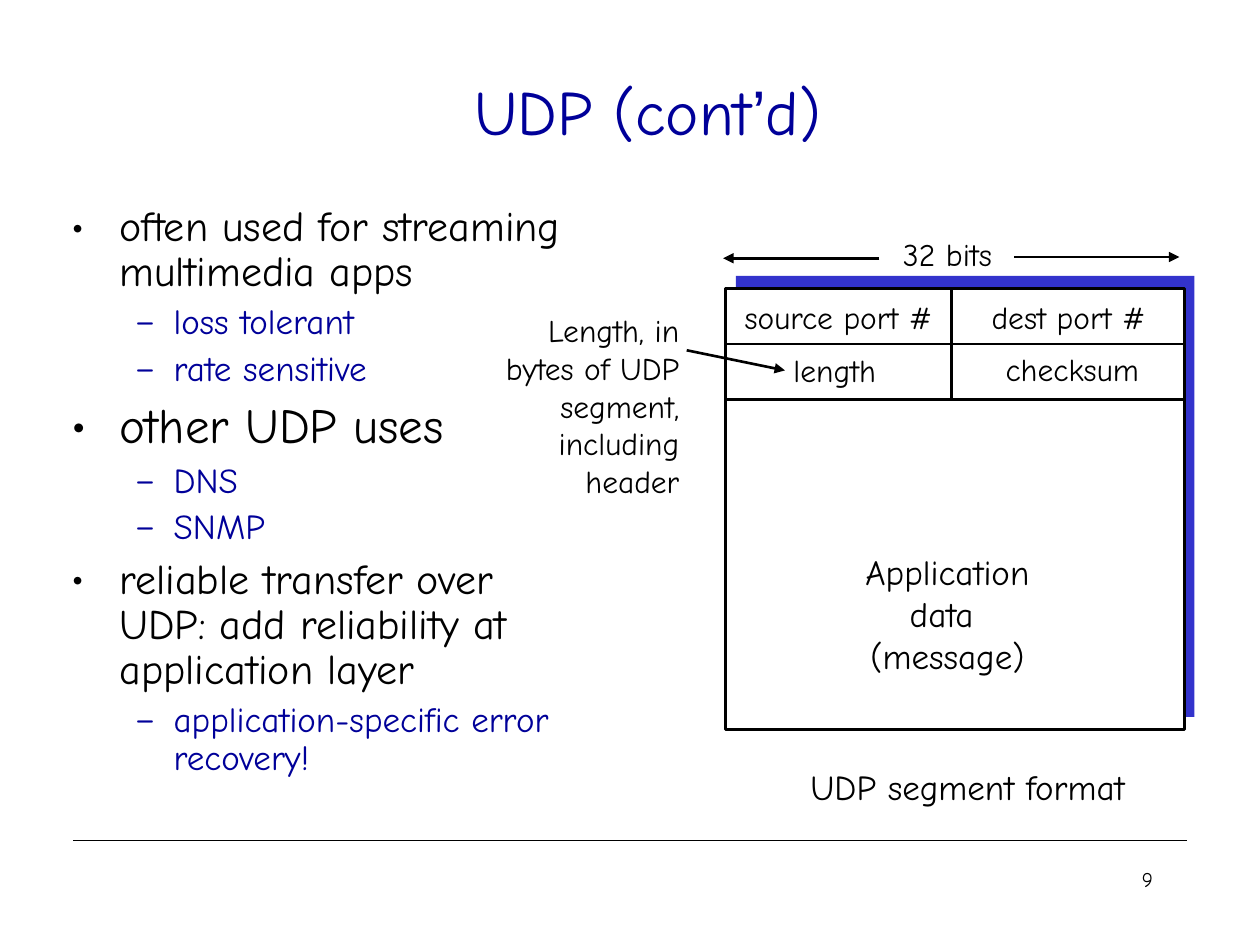
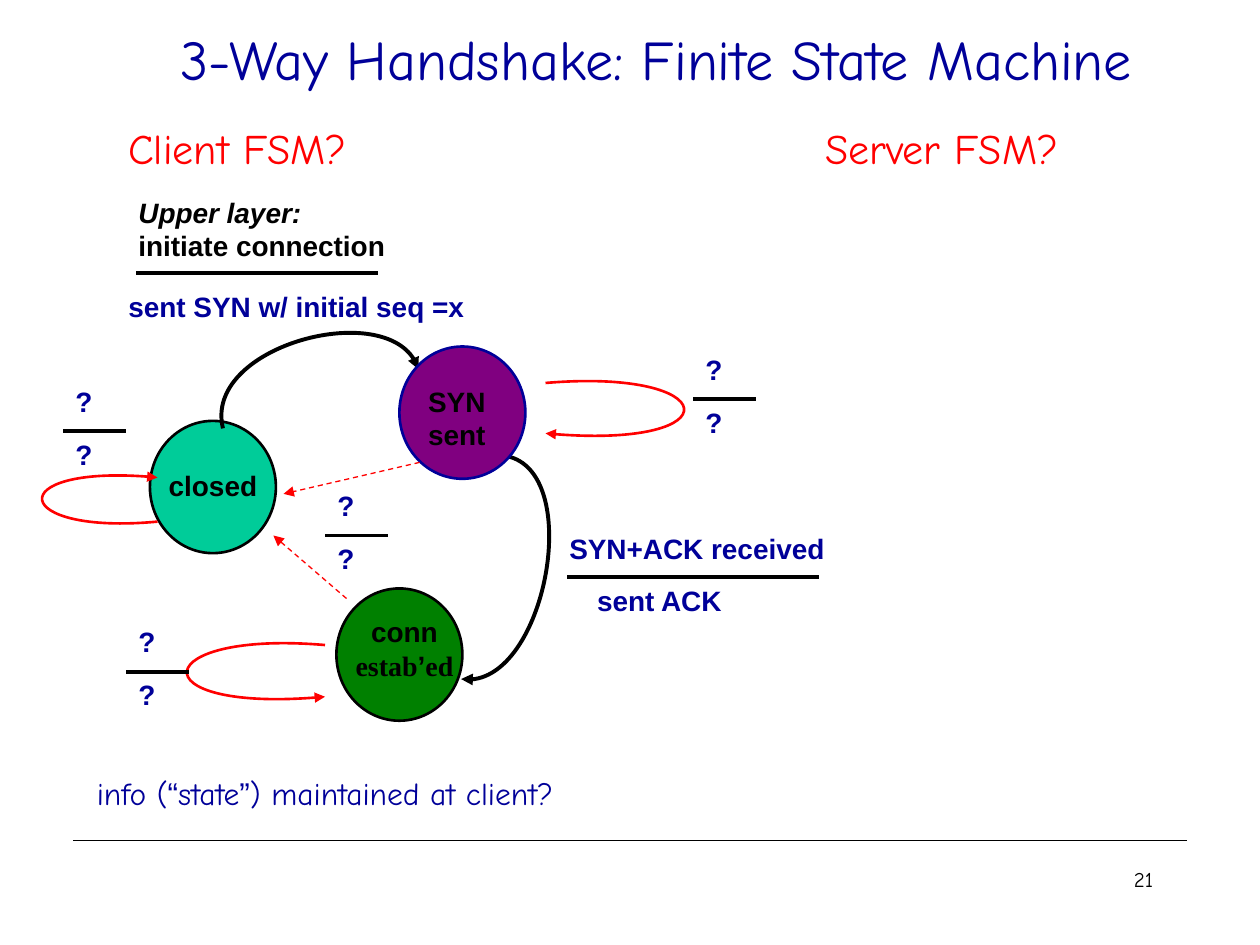
"""Build two transport-layer slides: UDP segment format and the TCP handshake FSM."""
from itertools import groupby

from lxml.etree import SubElement
from pptx import Presentation
from pptx.dml.color import RGBColor
from pptx.enum.dml import MSO_LINE
from pptx.enum.shapes import MSO_CONNECTOR, MSO_SHAPE
from pptx.enum.text import MSO_ANCHOR as Anchor, MSO_AUTO_SIZE as AutoSize, PP_ALIGN as Align
from pptx.oxml.ns import qn
from pptx.util import Inches, Pt

BLACK = RGBColor(0x00, 0x00, 0x00)
WHITE = RGBColor(0xFF, 0xFF, 0xFF)
NAVY = RGBColor(0x00, 0x00, 0x99)
BLUE = RGBColor(0x33, 0x33, 0xCC)
RED = RGBColor(0xFF, 0x00, 0x00)
TEAL = RGBColor(0x00, 0xCC, 0x99)
PURPLE = RGBColor(0x80, 0x00, 0x80)
GREEN = RGBColor(0x00, 0x80, 0x00)

HAND_FONT = "Comic Neue"
PLAIN_FONT = "Arial"
CURLY_QUOTES = "“”’"

LABEL = dict(font=PLAIN_FONT, size=16, bold=True)
ACTION = dict(LABEL, color=NAVY)
CENTRED = dict(align=Align.CENTER, wrap=False)


def add_runs(paragraph, content, font=HAND_FONT, size=18, color=BLACK, bold=False, italic=False):
    """Fill a paragraph, setting curly quotes in the plain font."""
    for is_quote, letters in groupby(content, key=lambda letter: letter in CURLY_QUOTES):
        run = paragraph.add_run()
        run.text = "".join(letters)
        run.font.name = PLAIN_FONT if is_quote else font
        run.font.size = Pt(size)
        run.font.color.rgb = color
        run.font.bold = bold
        run.font.italic = italic


def add_text(shapes, box, *lines, align=Align.LEFT, anchor=Anchor.TOP, wrap=True, **style):
    """Add a text box; a line is a string or a (string, style changes) pair."""
    frame = shapes.add_textbox(*map(Inches, box)).text_frame
    frame.word_wrap = wrap
    frame.auto_size = AutoSize.NONE if wrap else AutoSize.SHAPE_TO_FIT_TEXT
    frame.vertical_anchor = anchor
    for index, line in enumerate(lines):
        content, changes = (line, {}) if isinstance(line, str) else line
        paragraph = frame.add_paragraph() if index else frame.paragraphs[0]
        paragraph.alignment = align
        add_runs(paragraph, content, **{**style, **changes})
    return frame


def set_bullet(paragraph, level, size):
    """Give an outline paragraph its indent, spacing and bullet."""
    margin, hanging, mark, color = ((0.38, 0.38, "•", BLACK), (0.81, 0.31, "–", NAVY))[level]
    paragraph.level = level
    paragraph.line_spacing = 0.9
    paragraph.space_before = Pt(size // 4)
    properties = paragraph._p.get_or_add_pPr()
    properties.set("marL", str(Inches(margin)))
    properties.set("indent", str(-Inches(hanging)))
    bullet_color = SubElement(properties, qn("a:buClr"))
    SubElement(bullet_color, qn("a:srgbClr"), val=str(color))
    SubElement(properties, qn("a:buFont"), typeface=HAND_FONT)
    SubElement(properties, qn("a:buChar"), char=mark)


def add_outline(shapes, box, items):
    """Add a two-level bulleted list from (level, size, text) items."""
    lines = [(content, dict(size=size, color=NAVY if level else BLACK))
             for level, size, content in items]
    frame = add_text(shapes, box, *lines)
    for paragraph, (level, size, _) in zip(frame.paragraphs, items):
        set_bullet(paragraph, level, size)


def add_arrowhead(shape):
    """Put a triangle at the end of an outlined shape."""
    outline = shape.element.spPr.find(qn("a:ln"))
    SubElement(outline, qn("a:tailEnd"), type="triangle", w="med", len="med")


def add_line(shapes, start, end, width=1.5, color=BLACK, arrow=False, dash=None):
    """Add a straight line between two points."""
    line = shapes.add_connector(MSO_CONNECTOR.STRAIGHT, *map(Inches, (*start, *end)))
    line.line.color.rgb = color
    line.line.width = Pt(width)
    if dash:
        line.line.dash_style = dash
    if arrow:
        add_arrowhead(line)
    SubElement(line.element.spPr, qn("a:effectLst"))


def add_curve(shapes, *points, width=1.5, color=RED):
    """Add an arrow along one Bézier curve: start, two controls, end."""
    start, *others = [tuple(map(Inches, point)) for point in points]
    builder = shapes.build_freeform(*start)
    builder.add_line_segments(others, close=False)
    curve = builder.convert_to_shape()
    curve.shadow.inherit = False
    curve.fill.background()
    curve.line.color.rgb = color
    curve.line.width = Pt(width)
    add_arrowhead(curve)
    outline = curve.element.find(".//" + qn("a:path"))
    segments = outline.findall(qn("a:lnTo"))
    bezier = SubElement(outline, qn("a:cubicBezTo"))
    for segment in segments:
        bezier.append(segment[0])
        outline.remove(segment)


def add_block(shapes, kind, box, fill, outline=None):
    """Add a filled preset shape, outlined if a colour is given."""
    block = shapes.add_shape(kind, *map(Inches, box))
    block.shadow.inherit = False
    block.fill.solid()
    block.fill.fore_color.rgb = fill
    if outline is None:
        block.line.fill.background()
    else:
        block.line.color.rgb = outline
        block.line.width = Pt(1.5)


def add_state(shapes, corner, fill, label_box, *lines, outline=BLACK):
    """Add an FSM state circle with its label."""
    add_block(shapes, MSO_SHAPE.OVAL, (*corner, 1, 1.05), fill, outline)
    add_text(shapes, label_box, *lines, align=Align.CENTER, **LABEL)


def add_unknown(shapes, left, middle):
    """Add a question mark over a question mark, parted by a line."""
    group = shapes.add_group_shape().shapes
    for top in (middle - 0.42, middle):
        add_text(group, (left, top, 0.33, 0.44), "?", **ACTION)
    add_line(group, (left, middle), (left + 0.5, middle), width=2.25)


def start_slide(deck, title, title_box, title_size, number):
    """Add a slide with title, footer rule and page number; return its shapes."""
    shapes = deck.slides.add_slide(deck.slide_layouts[6]).shapes
    add_line(shapes, (0.58, 6.67), (9.42, 6.67), width=0.75)
    add_text(shapes, (7.17, 6.83, 2.08, 0.5), str(number), size=12, align=Align.RIGHT)
    add_text(shapes, title_box, title, size=title_size, color=NAVY,
             align=Align.CENTER, anchor=Anchor.MIDDLE)
    return shapes


def add_segment_diagram(shapes):
    """Draw the UDP segment with its fields and measures."""
    left, top, width, height, row = 5.76, 2.29, 3.64, 3.5, 0.44
    middle = 7.55
    add_block(shapes, MSO_SHAPE.RECTANGLE, (left + 0.08, top - 0.1, width, height), BLUE)
    add_block(shapes, MSO_SHAPE.RECTANGLE, (left, top, width, height), WHITE, BLACK)
    for row_top in (top, top + row):
        row_end = row_top + row
        add_line(shapes, (left - 0.01, row_end), (left + width - 0.01, row_end))
        add_line(shapes, (middle, row_end), (middle, row_top))
    fields = [
        ((5.78, 2.32, 1.75, 0.4), "source port #"),
        ((7.74, 2.32, 1.48, 0.4), "dest port #"),
        ((6.17, 2.74, 0.91, 0.4), "length"),
        ((7.85, 2.73, 1.32, 0.4), "checksum"),
        ((7.04, 1.82, 0.96, 0.4), "32 bits"),
    ]
    for box, field in fields:
        add_text(shapes, box, field, **CENTRED)
    add_text(shapes, (6.77, 4.32, 1.5, 1.1), "Application", "data ", "(message)",
             size=20, **CENTRED)
    add_text(shapes, (6.33, 6.03, 2.7, 0.44), "UDP segment format", size=20, **CENTRED)
    add_text(shapes, (3.91, 2.42, 1.58, 1.6), "Length, in", "bytes of UDP", "segment,",
             "including", "header", align=Align.RIGHT, wrap=False)
    add_line(shapes, (8.05, 2.04), (9.36, 2.04), arrow=True)
    add_line(shapes, (6.98, 2.05), (5.74, 2.05), arrow=True)
    add_line(shapes, (5.45, 2.78), (6.23, 2.94), arrow=True)


def build_udp_slide(deck):
    """Build the slide on UDP uses and segment format."""
    shapes = start_slide(deck, "UDP (cont’d)", (0.58, 0.25, 9.12, 1.25), 36, 9)
    add_outline(shapes, (0.47, 1.58, 4.17, 5.08), [
        (0, 24, "often used for streaming multimedia apps"),
        (1, 20, "loss tolerant"),
        (1, 20, "rate sensitive"),
        (0, 28, "other UDP uses"),
        (1, 20, "DNS"),
        (1, 20, "SNMP"),
        (0, 24, "reliable transfer over UDP: add reliability at application layer"),
        (1, 20, "application-specific error recovery!"),
    ])
    add_segment_diagram(shapes)


def build_handshake_slide(deck):
    """Build the slide with the client's state machine."""
    shapes = start_slide(deck, "3-Way Handshake: Finite State Machine",
                         (0.67, 0, 9.08, 0.92), 32, 21)
    for left, heading in ((0.82, "Client FSM?"), (6.41, "Server FSM?")):
        add_text(shapes, (left, 0.92, 2.13, 0.5), heading, size=24, color=RED, **CENTRED)
    add_text(shapes, (0.67, 5.92, 5.08, 0.75), "info (“state”) maintained at client?",
             color=NAVY, anchor=Anchor.MIDDLE)

    add_state(shapes, (1.19, 3.34), TEAL, (1.08, 3.67, 1.22, 0.67), "closed")
    add_curve(shapes, (1.77, 3.4), (1.61, 2.76), (3.14, 2.34), (3.32, 2.93),
              width=2.25, color=BLACK)
    add_curve(shapes, (4.02, 3.62), (4.63, 3.74), (4.32, 5.49), (3.66, 5.39),
              width=2.25, color=BLACK)
    add_curve(shapes, (2.58, 5.12), (1.18, 5), (1.08, 5.67), (2.58, 5.53))
    add_curve(shapes, (4.33, 3.04), (5.74, 2.92), (5.83, 3.58), (4.33, 3.44))
    add_curve(shapes, (1.25, 4.14), (0.08, 4.25), (0, 3.67), (1.25, 3.79))
    add_state(shapes, (3.17, 2.75), PURPLE, (3.08, 3, 1.09, 0.67), "SYN", "sent", outline=NAVY)
    add_state(shapes, (2.67, 4.67), GREEN, (2.5, 4.83, 1.42, 0.67),
              "conn", ("estab’ed", dict(font="Times New Roman")))

    add_text(shapes, (1, 1.5, 2.25, 0.47), ("Upper layer:", dict(italic=True)),
             "initiate connection", **LABEL)
    add_line(shapes, (1.08, 2.17), (3, 2.17), width=2.25)
    add_text(shapes, (0.92, 2.25, 2.92, 0.6), "sent SYN w/ initial seq =x", **ACTION)
    add_text(shapes, (4.42, 4.17, 2.33, 0.44), "SYN+ACK received", **ACTION)
    add_line(shapes, (4.5, 4.58), (6.5, 4.58), width=2.25)
    add_text(shapes, (4.64, 4.58, 1.5, 0.44), "sent ACK", **ACTION)

    for start, end in (((3.33, 3.67), (2.25, 3.92)), ((2.75, 4.75), (2.17, 4.25))):
        add_line(shapes, start, end, width=0.75, color=RED, arrow=True, dash=MSO_LINE.DASH)
    for left, middle in ((0.5, 3.42), (5.5, 3.17), (1, 5.33), (2.58, 4.25)):
        add_unknown(shapes, left, middle)


def main():
    """Build and save the presentation."""
    deck = Presentation()
    deck.slide_width, deck.slide_height = Inches(10), Inches(7.5)
    build_udp_slide(deck)
    build_handshake_slide(deck)
    deck.save("out.pptx")


if __name__ == "__main__":
    main()
